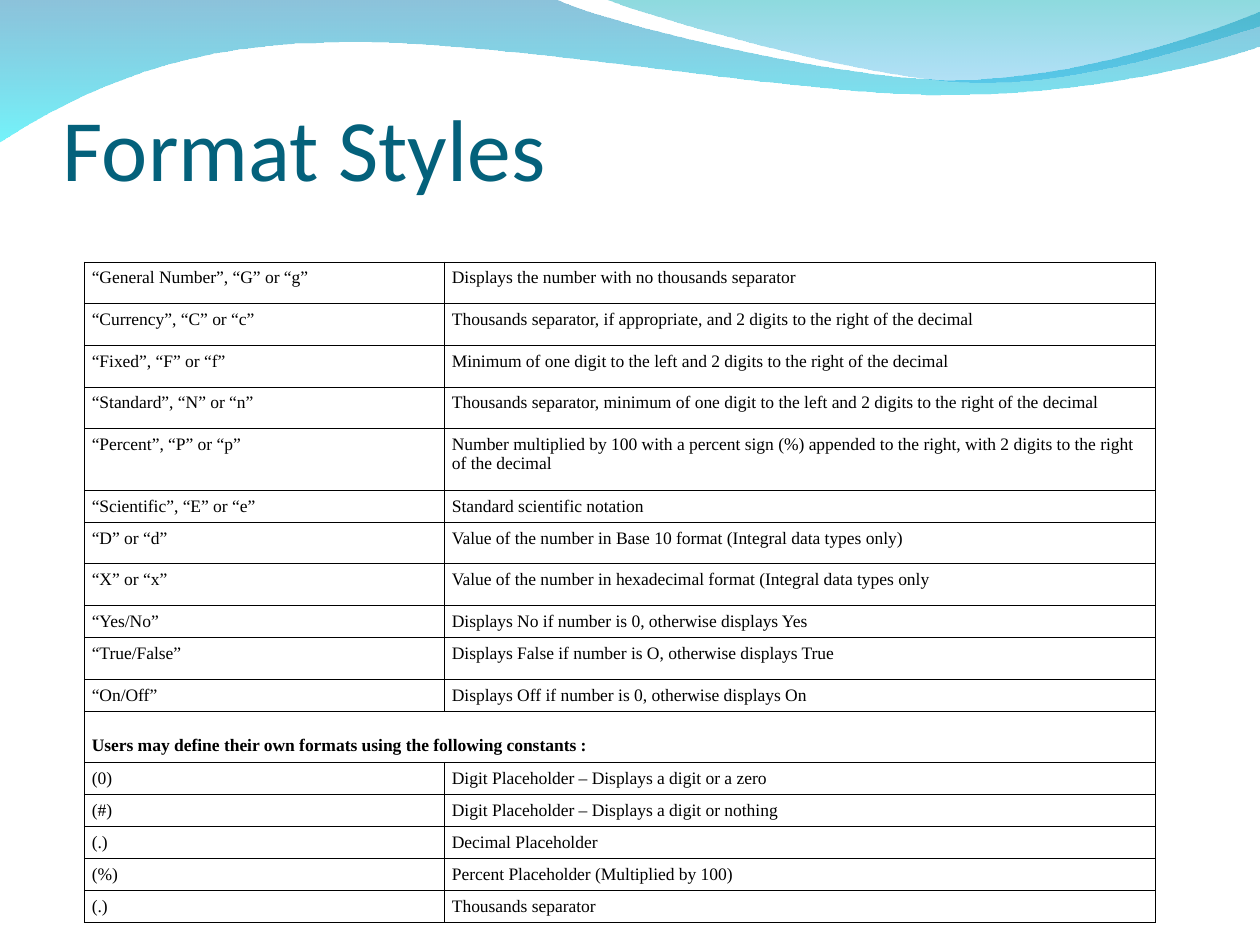
from dataclasses import dataclass

from lxml import etree
from pptx import Presentation
from pptx import util as u
from pptx.dml.color import RGBColor
from pptx.enum import text
from pptx.oxml import ns


@dataclass(frozen=True)
class Theme:
    title_font: str = "Calibri"
    title_size: float = 50
    title_color: str = "04617B"
    body_font: str = "Times New Roman"
    body_size: float = 10
    body_color: str = "000000"
    border_width: float = 0.45


@dataclass(frozen=True)
class Stop:
    color: str
    opacity: int


@dataclass(frozen=True)
class Wave:
    """Outline in cm: one point is a line end, three points are a Bézier curve."""
    start: tuple
    segments: tuple
    top: Stop
    bottom: Stop


@dataclass(frozen=True)
class Row:
    label: str
    meaning: str = ""
    height: float = 0.84

    @property
    def is_heading(self) -> bool:
        return not self.meaning


THEME = Theme()
SHORT, TWO_LINES, HEADING = 0.64, 1.24, 1.03

WAVES = (
    Wave((0, -0.03), (
        ((11.18, -0.03),),
        ((12.09, 0.43), (16.87, 1.6), (19.25, 1.6)),
        ((21.67, 1.6), (24.33, 0.66), (25.4, 0.23)),
        ((25.43, 0.91),),
        ((24.97, 1.12), (22.1, 1.93), (18.95, 1.91)),
        ((15.8, 1.91), (9.7, 0.71), (6.53, 0.86)),
        ((3.28, 0.89), (1.17, 2.11), (-0.03, 2.87)),
    ), Stop("0079AF", 45), Stop("00EBF8", 55)),
    Wave((12.17, -0.03), (
        ((12.93, 0.28), (17.32, 1.57), (19.53, 1.65)),
        ((21.74, 1.75), (24.41, 0.81), (25.4, 0.53)),
        ((25.4, 0),),
    ), Stop("00ADB6", 45), Stop("009BE5", 30)),
)

ROWS = (
    Row("“General Number”, “G” or “g”", "Displays the number with no thousands separator"),
    Row("“Currency”, “C” or “c”",
        "Thousands separator, if appropriate, and 2 digits to the right of the decimal"),
    Row("“Fixed”, “F” or “f”",
        "Minimum of one digit to the left and 2 digits to the right of the decimal"),
    Row("“Standard”, “N” or “n”",
        "Thousands separator, minimum of one digit to the left and 2 digits to the right"
        " of the decimal"),
    Row("“Percent”, “P” or “p”",
        "Number multiplied by 100 with a percent sign (%) appended to the right, with 2 digits"
        " to the right of the decimal", TWO_LINES),
    Row("“Scientific”, “E” or “e”", "Standard scientific notation", SHORT),
    Row("“D” or “d”", "Value of the number in Base 10 format (Integral data types only)"),
    Row("“X” or “x”", "Value of the number in hexadecimal format (Integral data types only"),
    Row("“Yes/No”", "Displays No if number is 0, otherwise displays Yes", SHORT),
    Row("“True/False”", "Displays False if number is O, otherwise displays True"),
    Row("“On/Off”", "Displays Off if number is 0, otherwise displays On", SHORT),
    Row("Users may define their own formats using the following constants :", height=HEADING),
    Row("(0)", "Digit Placeholder – Displays a digit or a zero", SHORT),
    Row("(#)", "Digit Placeholder – Displays a digit or nothing", SHORT),
    Row("(.)", "Decimal Placeholder", SHORT),
    Row("(%)", "Percent Placeholder (Multiplied by 100)", SHORT),
    Row("(.)", "Thousands separator", SHORT),
)


def bend_segments(shape, segments: tuple) -> None:
    """Join the straight steps of each three-point segment into one curve."""
    steps = list(shape._element.spPr.iter(ns.qn("a:lnTo")))
    for segment in segments:
        group, steps = steps[:len(segment)], steps[len(segment):]
        if len(segment) == 3:
            curve = etree.Element(ns.qn("a:cubicBezTo"))
            group[0].addprevious(curve)
            for step in group:
                curve.append(step[0])
                step.getparent().remove(step)


def draw_wave(page, wave: Wave) -> None:
    points = [wave.start, *(point for segment in wave.segments for point in segment)]
    outline = [(u.Cm(x), u.Cm(y)) for x, y in points]
    builder = page.shapes.build_freeform(*outline[0])
    builder.add_line_segments(outline[1:], close=True)
    shape = builder.convert_to_shape()
    bend_segments(shape, wave.segments)
    shape.shadow.inherit = False
    shape.line.fill.background()
    shape.fill.gradient()
    shape.fill.gradient_angle = 270
    for grad_stop, stop in zip(shape.fill.gradient_stops, (wave.top, wave.bottom)):
        grad_stop.color.rgb = RGBColor.from_string(stop.color)
    colors = shape._element.spPr.iter(ns.qn("a:srgbClr"))
    for color, stop in zip(colors, (wave.top, wave.bottom)):
        etree.SubElement(color, ns.qn("a:alpha"), val=str(stop.opacity * 1000))


def format_spans(frame, font: str, size: float, color: str, bold: bool = False) -> None:
    for para in frame.paragraphs:
        for span in para.runs:
            span.font.name = font
            span.font.size = u.Pt(size)
            span.font.bold = bold
            span.font.color.rgb = RGBColor.from_string(color)


def draw_title(page, wording: str) -> None:
    box = page.shapes.add_textbox(u.Cm(1.27), u.Cm(0.84), u.Cm(22.86), u.Cm(3.18))
    frame = box.text_frame
    frame.word_wrap = True
    frame.vertical_anchor = text.MSO_ANCHOR.BOTTOM
    frame.margin_left = frame.margin_right = frame.margin_bottom = 0
    frame.text = wording
    format_spans(frame, THEME.title_font, THEME.title_size, THEME.title_color)


def set_borders(cell) -> None:
    properties = cell._tc.get_or_add_tcPr()
    for index, side in enumerate(("lnL", "lnR", "lnT", "lnB")):
        line = etree.Element(ns.qn(f"a:{side}"), w=str(u.Pt(THEME.border_width)))
        fill = etree.SubElement(line, ns.qn("a:solidFill"))
        etree.SubElement(fill, ns.qn("a:srgbClr"), val=THEME.body_color)
        properties.insert(index, line)


def fill_cell(cell, wording: str, heading: bool) -> None:
    cell.margin_left = cell.margin_right = u.Cm(0.15)
    cell.margin_top = u.Cm(0.13)
    cell.margin_bottom = u.Cm(0.13 if heading else 0.09)
    cell.vertical_anchor = text.MSO_ANCHOR.BOTTOM if heading else text.MSO_ANCHOR.TOP
    cell.fill.background()
    set_borders(cell)
    if wording:
        cell.text_frame.text = wording
        format_spans(cell.text_frame, THEME.body_font, THEME.body_size, THEME.body_color, heading)


def draw_table(page, rows: tuple, widths: tuple) -> None:
    height = sum(row.height for row in rows)
    table = page.shapes.add_table(len(rows), len(widths), u.Cm(1.7), u.Cm(5.28),
                                  u.Cm(sum(widths)), u.Cm(height)).table
    table.first_row = table.horz_banding = False
    for column, width in zip(table.columns, widths):
        column.width = u.Cm(width)
    for index, row in enumerate(rows):
        table.rows[index].height = u.Cm(row.height)
        if row.is_heading:
            table.cell(index, 0).merge(table.cell(index, 1))
        for column, wording in enumerate((row.label, row.meaning)):
            fill_cell(table.cell(index, column), wording, row.is_heading)


def main() -> None:
    deck = Presentation()
    deck.slide_width, deck.slide_height = u.Cm(25.4), u.Cm(19.05)
    page = deck.slides.add_slide(deck.slide_layouts[6])
    # Wave band along the top
    for wave in WAVES:
        draw_wave(page, wave)
    # Title and table of formats
    draw_title(page, "Format Styles")
    draw_table(page, ROWS, (7.26, 14.33))
    deck.save("out.pptx")


if __name__ == "__main__":
    main()
